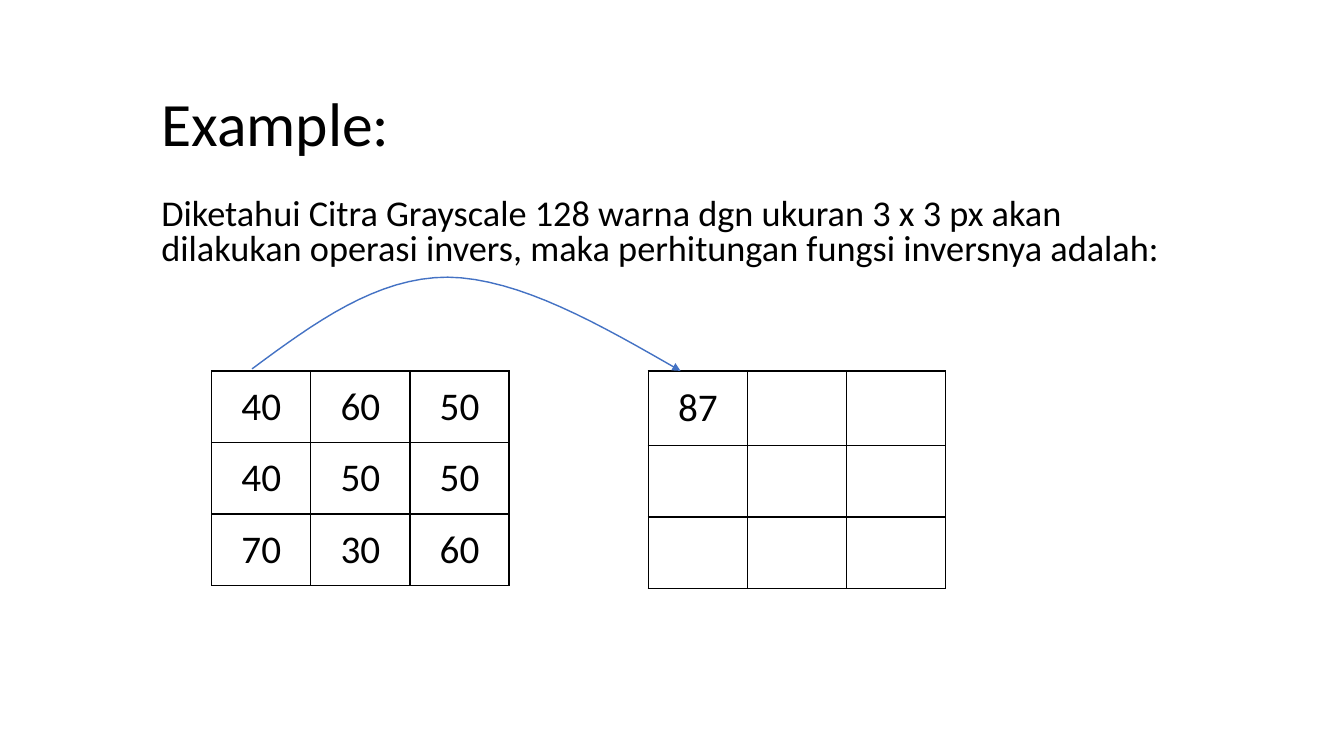
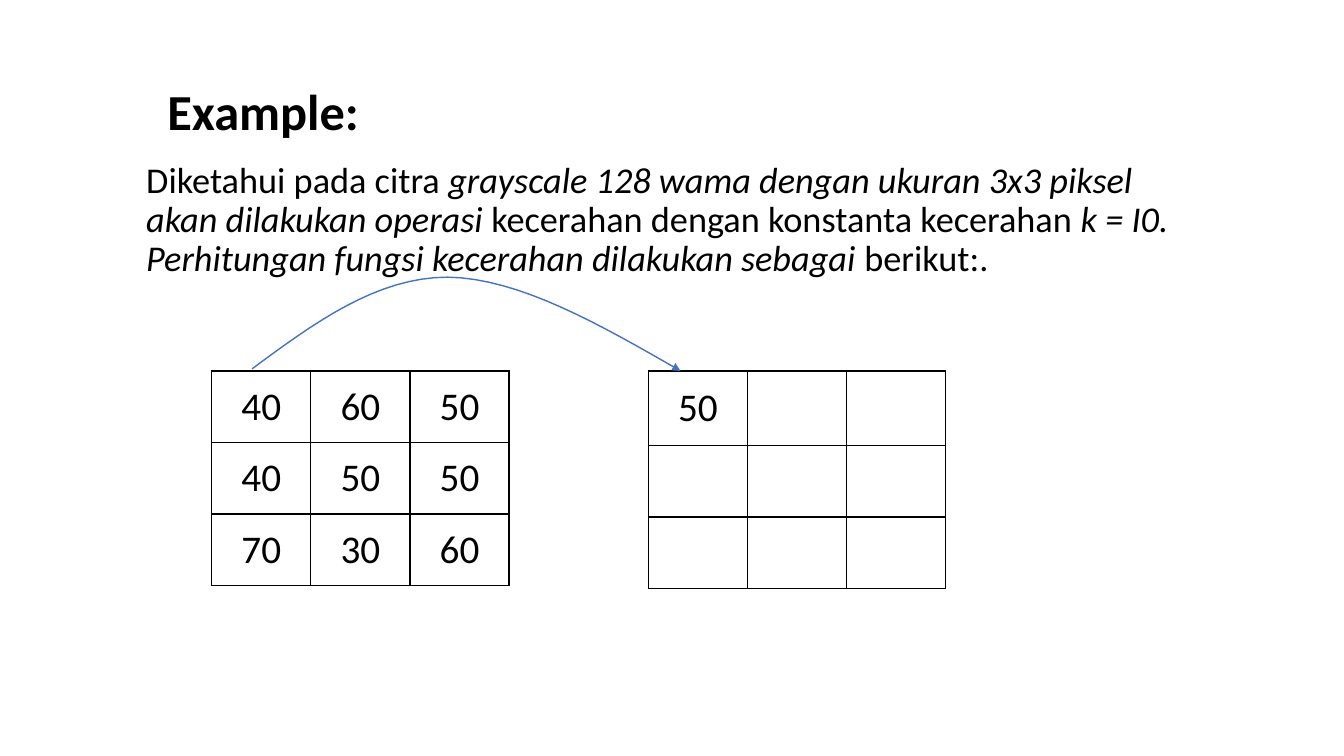
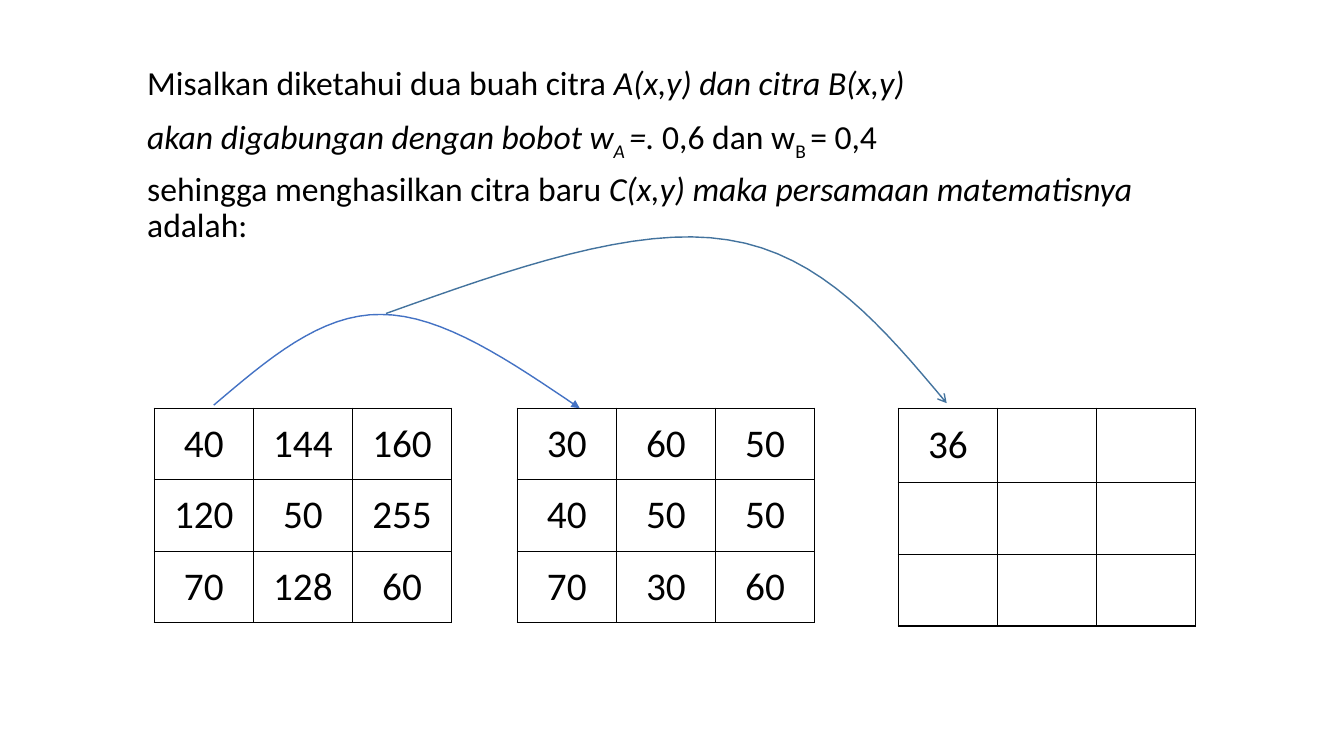
from lxml import etree
from pptx import Presentation
from pptx.dml.color import RGBColor
from pptx.enum.text import MSO_ANCHOR, MSO_AUTO_SIZE, PP_ALIGN
from pptx.oxml.ns import qn
from pptx.util import Pt

EMU_PER_PX = 9144
SLIDE_WIDTH, SLIDE_HEIGHT = 1333, 750
FONT = "Calibri"
BLACK = RGBColor(0x00, 0x00, 0x00)
BLUE = RGBColor(0x44, 0x72, 0xC4)
STEEL = RGBColor(0x43, 0x73, 0x9E)
LEFT, CENTER = PP_ALIGN.LEFT, PP_ALIGN.CENTER
MIDDLE, TOP = MSO_ANCHOR.MIDDLE, MSO_ANCHOR.TOP
NO_AUTOFIT = MSO_AUTO_SIZE.NONE
TITLE_AND_CONTENT = 1
GRID_WIDTH, GRID_ROW, RESULT_ROW = 295, 71, 74
CURVE_STEPS = 16
PLAIN, ITALIC, SUBSCRIPT, ITALIC_SUBSCRIPT = "", "i", "s", "is"

SOURCE_PIXELS = [[40, 60, 50], [40, 50, 50], [70, 30, 60]]
IMAGE_A = [[40, 144, 160], [120, 50, 255], [70, 128, 60]]
IMAGE_B = [[30, 60, 50], [40, 50, 50], [70, 30, 60]]


def px(length):
    return round(length * EMU_PER_PX)


def result_pixels(first):
    return [[first, "", ""], [""] * 3, [""] * 3]


def bezier(start, control_1, control_2, end, t):
    s = 1 - t
    return tuple(
        s**3 * a + 3 * s * s * t * b + 3 * s * t * t * c + t**3 * d
        for a, b, c, d in zip(start, control_1, control_2, end)
    )


class Deck:
    def __init__(self):
        self.presentation = Presentation()
        self.presentation.slide_width = px(SLIDE_WIDTH)
        self.presentation.slide_height = px(SLIDE_HEIGHT)
        self.slide = None

    def new_slide(self):
        layout = self.presentation.slide_layouts[TITLE_AND_CONTENT]
        self.slide = self.presentation.slides.add_slide(layout)

    def add_run(self, paragraph, text, size, style=PLAIN, bold=False):
        run = paragraph.add_run()
        run.text = text
        font = run.font
        font.name, font.size, font.bold = FONT, Pt(size), bold
        font.italic = "i" in style
        font.color.rgb = BLACK
        if "s" in style:
            run._r.get_or_add_rPr().set("baseline", "-25000")

    def place(self, shape, box, anchor):
        shape.left, shape.top, shape.width, shape.height = map(px, box)
        frame = shape.text_frame
        frame.word_wrap = True
        frame.auto_size = NO_AUTOFIT
        frame.vertical_anchor = anchor
        return frame

    def title(self, text, box, size, bold=False, spacing=0.9):
        frame = self.place(self.slide.shapes.title, box, MIDDLE)
        paragraph = frame.paragraphs[0]
        paragraph.alignment = LEFT
        paragraph.line_spacing = spacing
        self.add_run(paragraph, text, size, bold=bold)

    def no_title(self):
        element = self.slide.shapes.title._element
        element.getparent().remove(element)

    def body(self, paragraphs, box, size, spacing=0.9):
        frame = self.place(self.slide.placeholders[1], box, TOP)
        for index, runs in enumerate(paragraphs):
            paragraph = frame.add_paragraph() if index else frame.paragraphs[0]
            properties = paragraph._p.get_or_add_pPr()
            properties.set("marL", "0")
            properties.set("indent", "0")
            etree.SubElement(properties, qn("a:buNone"))
            paragraph.alignment = LEFT
            paragraph.line_spacing = spacing
            paragraph.space_before = Pt(10 if index else 0)
            for text, style in runs:
                self.add_run(paragraph, text, size, style)

    def border(self, cell):
        properties = cell._tc.get_or_add_tcPr()
        for side in ("a:lnL", "a:lnR", "a:lnT", "a:lnB"):
            line = etree.SubElement(properties, qn(side), w=str(Pt(1)))
            fill = etree.SubElement(line, qn("a:solidFill"))
            etree.SubElement(fill, qn("a:srgbClr"), val=str(BLACK))

    def grid(self, values, left, top, first_row=GRID_ROW):
        heights = [first_row, GRID_ROW, GRID_ROW]
        table = self.slide.shapes.add_table(
            len(values), len(values[0]),
            px(left), px(top), px(GRID_WIDTH), px(sum(heights)),
        ).table
        table.first_row = table.horz_banding = False
        for row, height, row_values in zip(table.rows, heights, values):
            row.height = px(height)
            for cell, value in zip(row.cells, row_values):
                self.border(cell)
                cell.fill.background()
                cell.vertical_anchor = MIDDLE
                paragraph = cell.text_frame.paragraphs[0]
                paragraph.alignment = CENTER
                if value != "":
                    self.add_run(paragraph, str(value), 28)

    def curved_arrow(self, start, segments, color=BLUE, head="triangle"):
        points = []
        origin = start
        for control_1, control_2, end in segments:
            for step in range(1, CURVE_STEPS + 1):
                x, y = bezier(origin, control_1, control_2, end, step / CURVE_STEPS)
                points.append((px(x), px(y)))
            origin = end
        builder = self.slide.shapes.build_freeform(px(start[0]), px(start[1]))
        builder.add_line_segments(points, close=False)
        shape = builder.convert_to_shape()
        shape.shadow.inherit = False
        shape.fill.background()
        shape.line.color.rgb = color
        shape.line.width = Pt(1)
        line = shape._element.spPr.find(qn("a:ln"))
        etree.SubElement(line, qn("a:tailEnd"), type=head)

    def operation(self, result):
        self.grid(SOURCE_PIXELS, 210, 368)
        self.grid(result_pixels(result), 643, 368, RESULT_ROW)
        self.curved_arrow((250, 366), [
            ((312, 320), (374, 275), (444, 275)),
            ((515, 276), (595, 322), (675, 368)),
        ])


def invert_slide(deck):
    deck.new_slide()
    deck.title("Example:", (150, 75, 1050, 101), 44)
    deck.body([[
        ("Diketahui Citra Grayscale 128 warna dgn ukuran 3 x 3 px akan dilakukan "
         "operasi invers, maka perhitungan fungsi inversnya adalah:", PLAIN),
    ]], (150, 192, 1050, 84), 25.9, 0.8)
    deck.operation(87)


def brightness_slide(deck):
    deck.new_slide()
    deck.title("Example:", (156, 74, 214, 71), 36, bold=True, spacing=1.0)
    deck.body([[
        ("Diketahui pada citra ", PLAIN),
        ("grayscale 128 wama dengan ukuran 3x3 piksel akan dilakukan operasi ", ITALIC),
        ("kecerahan dengan konstanta kecerahan ", PLAIN),
        ("k = I0. Perhitungan fungsi kecerahan dilakukan sebagai ", ITALIC),
        ("berikut:.", PLAIN),
    ]], (135, 156, 1050, 143), 25.9)
    deck.operation(50)


def blending_slide(deck):
    deck.new_slide()
    deck.no_title()
    deck.body([
        [("Misalkan diketahui dua buah citra ", PLAIN),
         ("A(x,y) dan citra B(x,y)", ITALIC)],
        [("akan digabungan dengan bobot w", ITALIC),
         ("A ", ITALIC_SUBSCRIPT),
         ("=. ", ITALIC),
         ("0,6 dan w", PLAIN),
         ("B ", SUBSCRIPT),
         ("= 0,4", PLAIN)],
        [("sehingga menghasilkan citra baru ", PLAIN),
         ("C(x,y) maka persamaan matematisnya ", ITALIC),
         ("adalah:", PLAIN)],
    ], (136, 61, 1050, 222), 24)
    deck.grid(IMAGE_A, 153, 405)
    deck.grid(IMAGE_B, 513, 405)
    deck.grid(result_pixels(36), 891, 405, RESULT_ROW)
    deck.curved_arrow((212, 402), [
        ((265, 357), (318, 311), (378, 312)),
        ((439, 312), (507, 359), (575, 405)),
    ])
    deck.curved_arrow((383, 311), [
        ((506, 267), (630, 223), (722, 238)),
        ((815, 252), (877, 326), (939, 400)),
    ], STEEL, "arrow")


def main():
    deck = Deck()
    invert_slide(deck)
    brightness_slide(deck)
    blending_slide(deck)
    deck.presentation.save("out.pptx")


if __name__ == "__main__":
    main()
